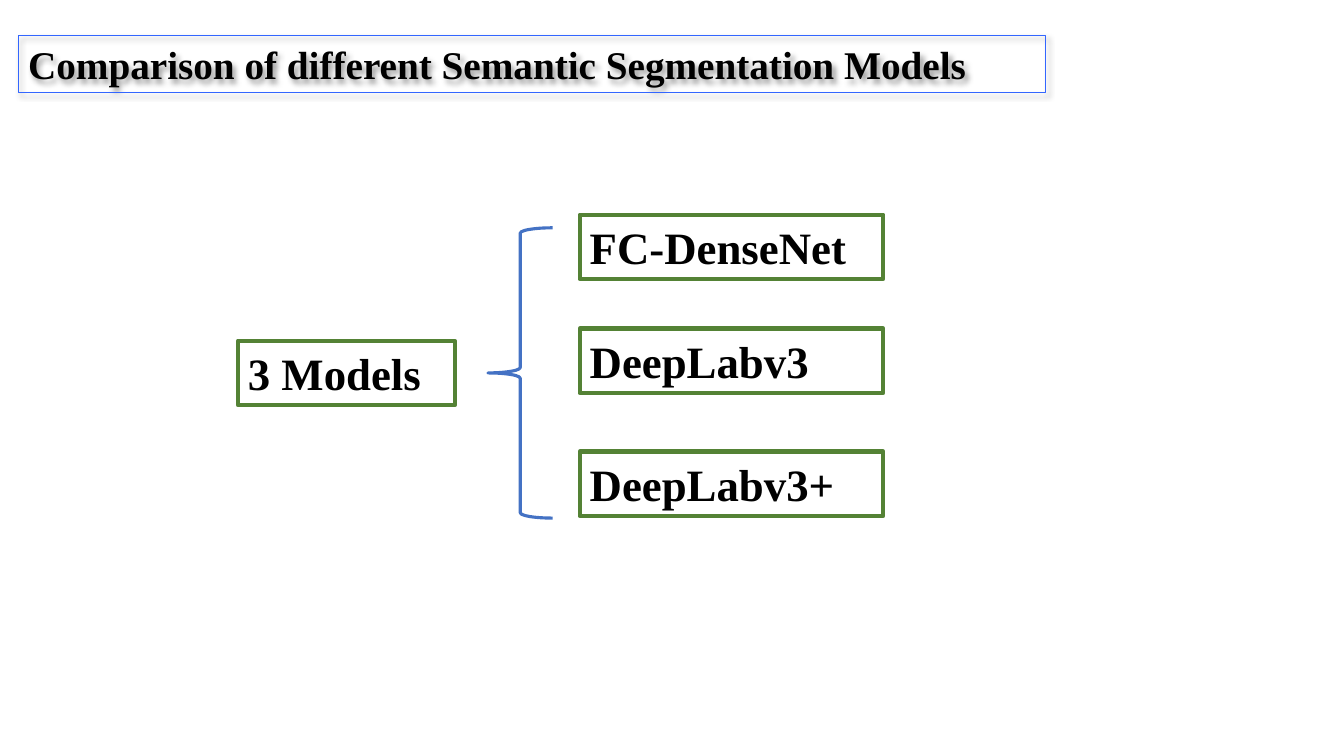
from dataclasses import dataclass

from lxml import etree
from pptx import Presentation
from pptx.dml.color import RGBColor
from pptx.enum.shapes import MSO_SHAPE
from pptx.enum.text import MSO_AUTO_SIZE
from pptx.oxml.ns import qn
from pptx.util import Inches, Pt

LEFT_BRACE = MSO_SHAPE.LEFT_BRACE
GROW_TO_TEXT = MSO_AUTO_SIZE.SHAPE_TO_FIT_TEXT


@dataclass(frozen=True)
class Theme:
    font: str = "Times New Roman"
    text: RGBColor = RGBColor(0x00, 0x00, 0x00)
    title_line: RGBColor = RGBColor(0x33, 0x66, 0xFF)
    model_line: RGBColor = RGBColor(0x54, 0x82, 0x35)
    brace_line: RGBColor = RGBColor(0x44, 0x72, 0xC4)
    title_size: int = 28
    model_size: int = 32


theme = Theme()


def add_framed_text(page, text, left, top, width, height, size, line_color, line_width):
    box = page.shapes.add_textbox(Inches(left), Inches(top), Inches(width), Inches(height))
    box.line.color.rgb = line_color
    box.line.width = Pt(line_width)
    frame = box.text_frame
    frame.word_wrap = True
    frame.auto_size = GROW_TO_TEXT
    frame.text = text
    font = frame.paragraphs[0].runs[0].font
    font.name = theme.font
    font.size = Pt(size)
    font.bold = True
    font.color.rgb = theme.text
    return box


def add_soft_shadow(shape):
    """Cast a 40% black shadow down and to the right."""
    effects = etree.SubElement(shape.element.spPr, qn("a:effectLst"))
    shadow = etree.SubElement(
        effects, qn("a:outerShdw"),
        blurRad=str(Pt(4)), dist=str(Pt(3)), dir=str(45 * 60000),
        algn="tl", rotWithShape="0",
    )
    color = etree.SubElement(shadow, qn("a:srgbClr"), val=str(theme.text))
    etree.SubElement(color, qn("a:alpha"), val="40000")


deck = Presentation()
deck.slide_width = Inches(13.33)
deck.slide_height = Inches(7.5)
page = deck.slides.add_slide(deck.slide_layouts[6])

title = add_framed_text(
    page, "Comparison of different Semantic Segmentation Models",
    0.18, 0.35, 10.19, 0.57, theme.title_size, theme.title_line, 0.75,
)
add_soft_shadow(title)

model_boxes = [
    ("FC-DenseNet", 5.75, 2.13, 3.01),
    ("DeepLabv3", 5.75, 3.26, 3.01),
    ("DeepLabv3+", 5.75, 4.48, 3.01),
    ("3 Models", 2.36, 3.38, 2.15),
]
for text, left, top, width in model_boxes:
    add_framed_text(page, text, left, top, width, 0.64,
                    theme.model_size, theme.model_line, 3)

brace = page.shapes.add_shape(LEFT_BRACE, Inches(4.84), Inches(2.26), Inches(0.64), Inches(2.88))
brace.shadow.inherit = False
brace.fill.background()
brace.line.color.rgb = theme.brace_line
brace.line.width = Pt(2.25)

deck.save("out.pptx")
